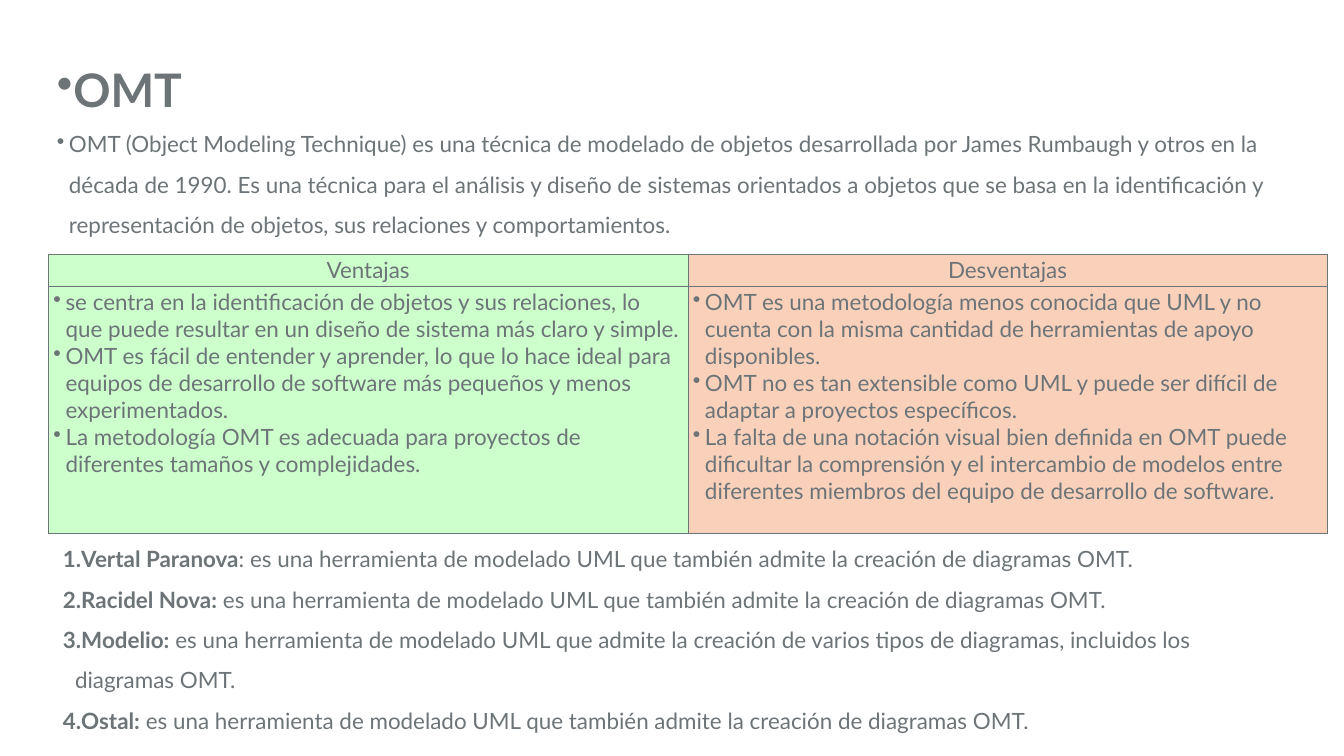
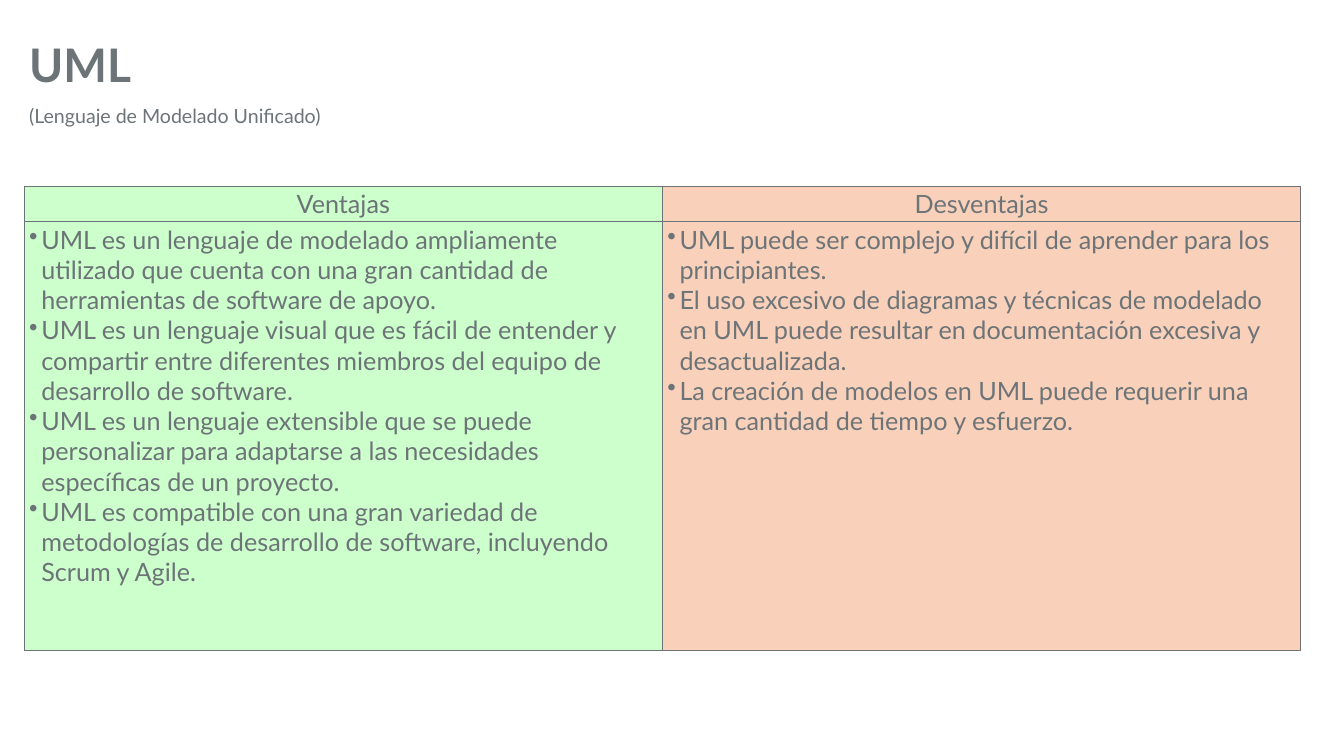
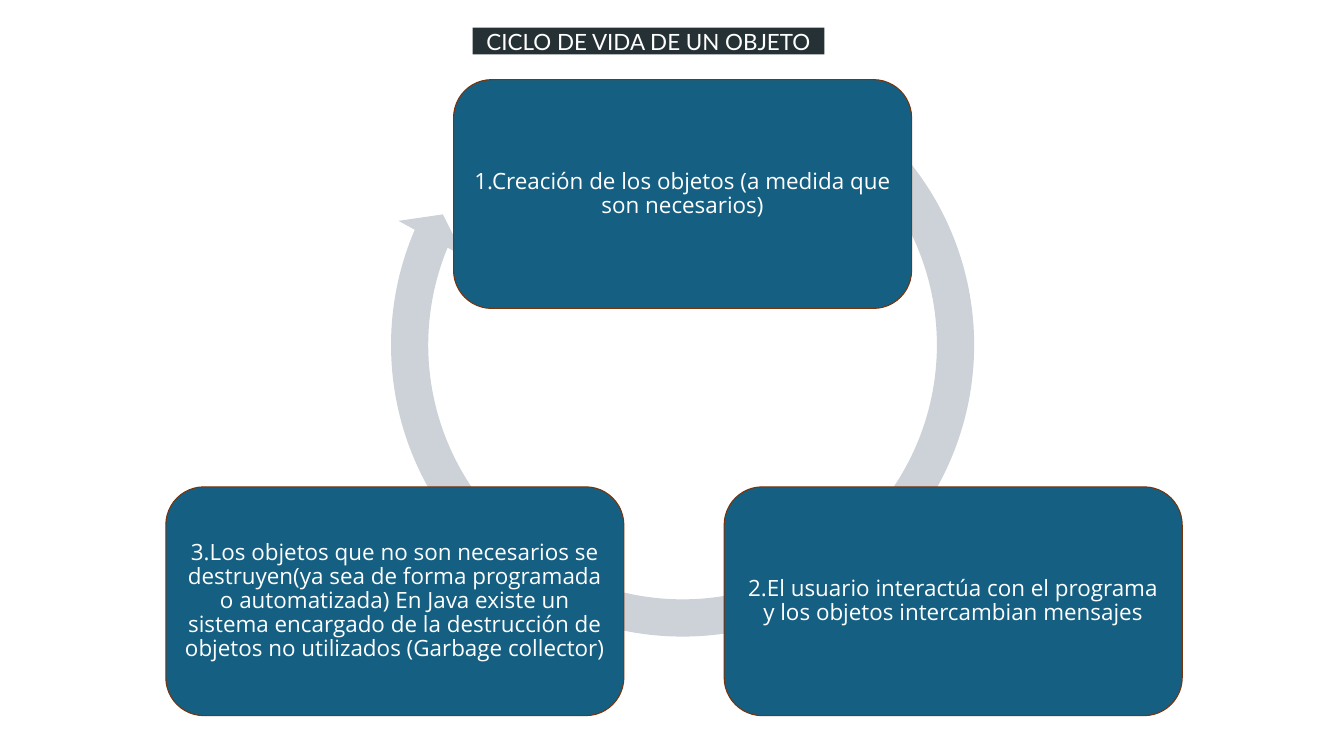
from dataclasses import dataclass

from lxml.etree import SubElement
from pptx import Presentation
from pptx.dml.color import RGBColor
from pptx.enum.shapes import MSO_SHAPE
from pptx.enum.text import MSO_ANCHOR, PP_ALIGN
from pptx.oxml import parse_xml
from pptx.oxml.ns import nsdecls, qn
from pptx.util import Inches, Pt

GRAY = "6D7478"
GREEN = "CCFFCC"
PEACH = "F9D1BA"
WHITE = "FFFFFF"
DARK = "253135"
BLUE = "156082"
RUST = "78330B"
SILVER = "CCD2D8"
INDENT = 0.24


@dataclass
class Para:
    text: str
    lead: str = ""
    size: float = 32
    bullet: str = ""


@dataclass
class Step:
    left: float
    top: float
    text: str


@dataclass
class Table:
    left: float
    top: float
    width: float
    rows: tuple[float, float]
    size: float
    pros: list[str]
    cons: list[str]


def color(value: str) -> RGBColor:
    return RGBColor.from_string(value)


def mark(para, kind: str) -> None:
    """Give a paragraph a hanging bullet ("•") or an automatic number ("1.")."""
    props = para._p.get_or_add_pPr()
    props.set("marL", str(Inches(INDENT)))
    props.set("indent", str(-Inches(INDENT)))
    tint = SubElement(props, qn("a:buClr"))
    SubElement(tint, qn("a:srgbClr"), val=GRAY)
    if kind == "1.":
        SubElement(props, qn("a:buAutoNum"), type="arabicPeriod")
    else:
        SubElement(props, qn("a:buChar"), char=kind)


def write(frame, paras: list[Para], font: str = "Lato", ink: str = GRAY,
          align=PP_ALIGN.LEFT, spacing: float = 1.0) -> None:
    frame.word_wrap = True
    for index, item in enumerate(paras):
        para = frame.add_paragraph() if index else frame.paragraphs[0]
        para.alignment = align
        para.line_spacing = spacing
        if item.bullet:
            mark(para, item.bullet)
        for text, bold in ((item.lead, True), (item.text, False)):
            if text:
                run = para.add_run()
                run.text = text
                run.font.name = font
                run.font.size = Pt(item.size)
                run.font.bold = bold
                run.font.color.rgb = color(ink)


def add_text(slide, left: float, top: float, width: float, height: float,
             paras: list[Para]) -> None:
    box = slide.shapes.add_textbox(
        Inches(left), Inches(top), Inches(width), Inches(height))
    write(box.text_frame, paras, spacing=1.5)


def add_box(shapes, kind, left: float, top: float, width: float, height: float,
            fill: str, line: str = "", inset: float = 0):
    box = shapes.add_shape(
        kind, Inches(left), Inches(top), Inches(width), Inches(height))
    box.shadow.inherit = False
    box.fill.solid()
    box.fill.fore_color.rgb = color(fill)
    if line:
        box.line.color.rgb = color(line)
        box.line.width = Pt(1.5)
    else:
        box.line.fill.background()
    frame = box.text_frame
    frame.vertical_anchor = MSO_ANCHOR.MIDDLE
    frame.margin_left = frame.margin_right = Inches(inset)
    frame.margin_top = frame.margin_bottom = Inches(inset)
    return box


def frame_cell(cell) -> None:
    """Draw a thin line on all four sides of a table cell."""
    props = cell._tc.get_or_add_tcPr()
    for index, side in enumerate(("lnL", "lnR", "lnT", "lnB")):
        props.insert(index, parse_xml(
            f'<a:{side} {nsdecls("a")} w="{Pt(0.96)}"><a:solidFill>'
            f'<a:srgbClr val="{GRAY}"/></a:solidFill></a:{side}>'))


def add_table(slide, spec_data: Table) -> None:
    data = spec_data
    table = slide.shapes.add_table(
        2, 2, Inches(data.left), Inches(data.top),
        Inches(data.width), Inches(sum(data.rows))).table
    table.first_row = table.horz_banding = False
    for row, height in zip(table.rows, data.rows):
        row.height = Inches(height)
    columns = (("Ventajas", data.pros, GREEN), ("Desventajas", data.cons, PEACH))
    for col, (head, points, fill) in enumerate(columns):
        top, body = table.cell(0, col), table.cell(1, col)
        write(top.text_frame, [Para(head, size=data.size)], align=PP_ALIGN.CENTER)
        write(body.text_frame,
              [Para(point, size=data.size, bullet="•") for point in points])
        for cell in (top, body):
            cell.fill.solid()
            cell.fill.fore_color.rgb = color(fill)
            frame_cell(cell)


def build_omt(slide) -> None:
    add_text(slide, 1.03, 0.62, 25.23, 4.09, [
        Para("", lead="OMT", size=66, bullet="•"),
        Para("OMT (Object Modeling Technique) es una técnica de modelado de objetos "
             "desarrollada por James Rumbaugh y otros en la década de 1990. Es una "
             "técnica para el análisis y diseño de sistemas orientados a objetos que "
             "se basa en la identificación y representación de objetos, sus "
             "relaciones y comportamientos.", bullet="•")])
    add_table(slide, Table(
        0.96, 5.04, 25.38, (0.64, 4.9), 32,
        pros=["se centra en la identificación de objetos y sus relaciones, lo que "
              "puede resultar en un diseño de sistema más claro y simple.",
              "OMT es fácil de entender y aprender, lo que lo hace ideal para equipos "
              "de desarrollo de software más pequeños y menos experimentados.",
              "La metodología OMT es adecuada para proyectos de diferentes tamaños y "
              "complejidades."],
        cons=["OMT es una metodología menos conocida que UML y no cuenta con la misma "
              "cantidad de herramientas de apoyo disponibles.",
              "OMT no es tan extensible como UML y puede ser difícil de adaptar a "
              "proyectos específicos.",
              "La falta de una notación visual bien definida en OMT puede dificultar "
              "la comprensión y el intercambio de modelos entre diferentes miembros "
              "del equipo de desarrollo de software."]))
    also = " es una herramienta de modelado UML que también admite la creación de diagramas OMT."
    add_text(slide, 1.15, 10.51, 23.95, 4.04, [
        Para(":" + also, lead="Vertal Paranova", bullet="1."),
        Para(also, lead="Racidel Nova:", bullet="1."),
        Para(" es una herramienta de modelado UML que admite la creación de varios "
             "tipos de diagramas, incluidos los diagramas OMT.",
             lead="Modelio:", bullet="1."),
        Para(also, lead="Ostal:", bullet="1.")])


def build_uml(slide) -> None:
    add_text(slide, 0.48, 0.13, 11.66, 2.38, [
        Para("", lead="UML", size=66),
        Para("(Lenguaje de Modelado Unificado)", size=28)])
    add_table(slide, Table(
        0.48, 3.7, 25.33, (0.7, 8.5), 36,
        pros=["UML es un lenguaje de modelado ampliamente utilizado que cuenta con "
              "una gran cantidad de herramientas de software de apoyo.",
              "UML es un lenguaje visual que es fácil de entender y compartir entre "
              "diferentes miembros del equipo de desarrollo de software.",
              "UML es un lenguaje extensible que se puede personalizar para adaptarse "
              "a las necesidades específicas de un proyecto.",
              "UML es compatible con una gran variedad de metodologías de desarrollo "
              "de software, incluyendo Scrum y Agile."],
        cons=["UML puede ser complejo y difícil de aprender para los principiantes.",
              "El uso excesivo de diagramas y técnicas de modelado en UML puede "
              "resultar en documentación excesiva y desactualizada.",
              "La creación de modelos en UML puede requerir una gran cantidad de "
              "tiempo y esfuerzo."]))


def build_cycle(slide) -> None:
    title = add_box(slide.shapes, MSO_SHAPE.RECTANGLE, 9.38, 0.55, 6.98, 0.53, DARK)
    write(title.text_frame, [Para("CICLO DE VIDA DE UN OBJETO")],
          ink=WHITE, align=PP_ALIGN.CENTER)
    cycle = slide.shapes.add_group_shape().shapes
    arrow = add_box(cycle, MSO_SHAPE.CIRCULAR_ARROW, 7.39, 0.69, 12.31, 12.31, SILVER)
    for index, value in enumerate((0.06, 3.4, 121.75, 184.49, 0.06)):
        arrow.adjustments[index] = value
    steps = [
        Step(9, 1.58, "1.Creación de los objetos (a medida que son necesarios)"),
        Step(14.37, 9.66, "2.El usuario interactúa con el programa y los objetos "
                          "intercambian mensajes"),
        Step(3.29, 9.66, "3.Los objetos que no son necesarios se destruyen(ya sea de "
                         "forma programada o automatizada) En Java existe un sistema "
                         "encargado de la destrucción de objetos no utilizados "
                         "(Garbage collector)")]
    for step in steps:
        box = add_box(cycle, MSO_SHAPE.ROUNDED_RECTANGLE, step.left, step.top,
                      9.09, 4.54, BLUE, line=RUST, inset=0.13)
        write(box.text_frame, [Para(step.text)], font="Open Sans", ink=WHITE,
              align=PP_ALIGN.CENTER, spacing=0.9)


def main() -> None:
    deck = Presentation()
    deck.slide_width = Inches(26.67)
    deck.slide_height = Inches(15)
    for build in (build_omt, build_uml, build_cycle):
        build(deck.slides.add_slide(deck.slide_layouts[6]))
    deck.save("out.pptx")


if __name__ == "__main__":
    main()
